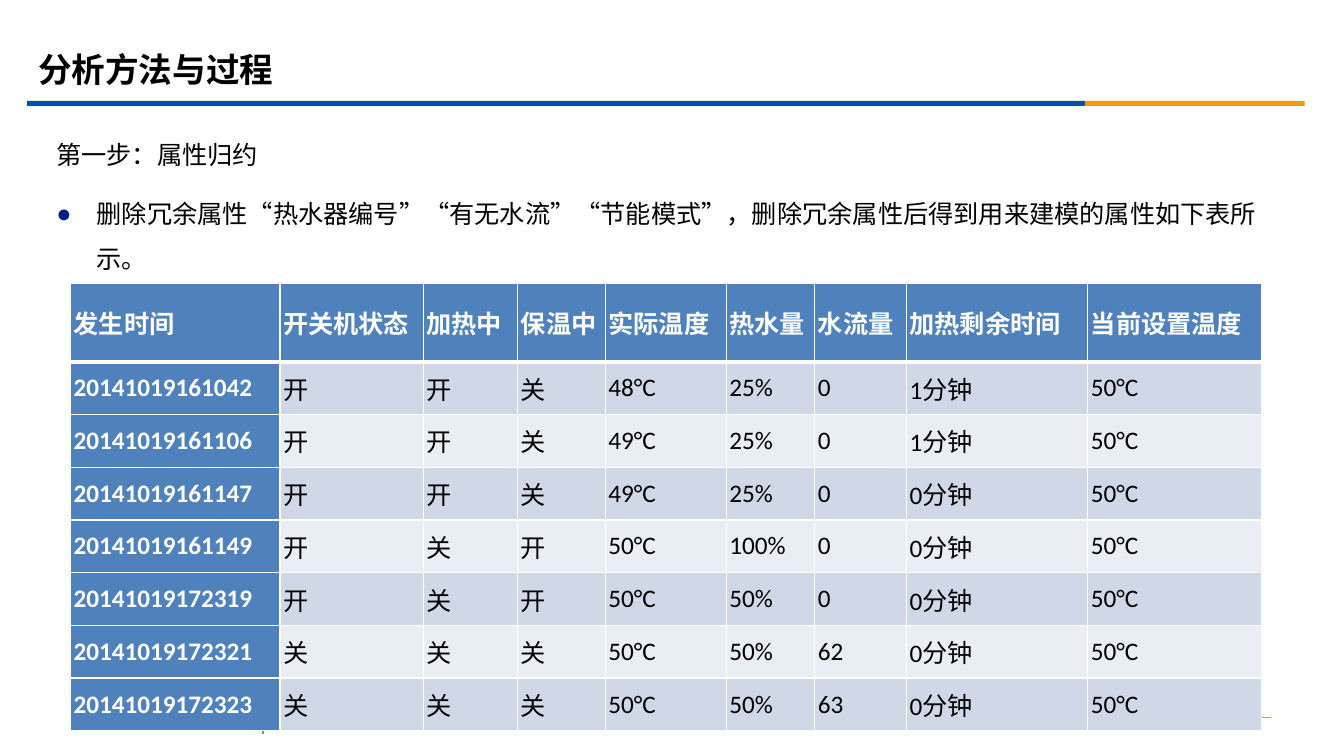
"""Build the attribute reduction slide of the water heater analysis."""
import pptx
import pptx.dml.color
import pptx.enum.shapes
import pptx.enum.text
import pptx.oxml
import pptx.oxml.ns
import pptx.util

Inches = pptx.util.Inches
RGBColor = pptx.dml.color.RGBColor

BLUE = RGBColor(0x06, 0x4B, 0xB2)
ORANGE = RGBColor(0xFB, 0x97, 0x08)
FOOTER_ORANGE = RGBColor(0xF1, 0x95, 0x00)
GREY = RGBColor(0x80, 0x80, 0x80)
BULLET_BLUE = RGBColor(0x03, 0x20, 0x89)
HEADER_BLUE = RGBColor(0x4F, 0x81, 0xBD)
BANDS = (RGBColor(0xD0, 0xD8, 0xE8), RGBColor(0xE9, 0xED, 0xF4))
BLACK = RGBColor(0, 0, 0)
WHITE = RGBColor(0xFF, 0xFF, 0xFF)
CJK_FONT = "Noto Sans CJK SC"

TITLE = "分析方法与过程"
STEP = "第一步：属性归约"
EXPLANATION = ("删除冗余属性“热水器编号”“有无水流”“节能模式”，"
               "删除冗余属性后得到用来建模的属性如下表所示。")
COLUMN_WIDTHS = (2.08, 1.42, 0.94, 0.87, 1.2, 0.88, 0.91, 1.8, 1.72)
HEADER_HEIGHT = 0.78
RECORDS = (
    ("发生时间", "开关机状态", "加热中", "保温中", "实际温度",
     "热水量", "水流量", "加热剩余时间", "当前设置温度"),
    ("20141019161042", "开", "开", "关", "48°C", "25%", "0", "1分钟", "50°C"),
    ("20141019161106", "开", "开", "关", "49°C", "25%", "0", "1分钟", "50°C"),
    ("20141019161147", "开", "开", "关", "49°C", "25%", "0", "0分钟", "50°C"),
    ("20141019161149", "开", "关", "开", "50°C", "100%", "0", "0分钟", "50°C"),
    ("20141019172319", "开", "关", "开", "50°C", "50%", "0", "0分钟", "50°C"),
    ("20141019172321", "关", "关", "关", "50°C", "50%", "62", "0分钟", "50°C"),
    ("20141019172323", "关", "关", "关", "50°C", "50%", "63", "0分钟", "50°C"),
)


def add_xml(parent, markup):
    """Append a DrawingML element, given without its namespace, to parent."""
    tag, rest = markup.split(" ", 1)
    namespace = pptx.oxml.ns.nsdecls("a")
    parent.append(pptx.oxml.parse_xml(f"<a:{tag} {namespace} {rest}"))


def style_paragraph(paragraph, size, color, bold=False, font=CJK_FONT):
    """Set the font of a whole paragraph."""
    paragraph.font.size = pptx.util.Pt(size)
    paragraph.font.bold = bold
    paragraph.font.color.rgb = color
    paragraph.font.name = font
    defaults = paragraph._p.pPr.find(pptx.oxml.ns.qn("a:defRPr"))
    add_xml(defaults, f'ea typeface="{CJK_FONT}"/>')


def add_text_frame(slide, left, top, width, height):
    """Add a wrapping text box and return its text frame."""
    box = slide.shapes.add_textbox(
        Inches(left), Inches(top), Inches(width), Inches(height))
    box.text_frame.word_wrap = True
    return box.text_frame


def add_title(slide, left, top, width, height):
    """Add the slide title."""
    frame = add_text_frame(slide, left, top, width, height)
    frame.vertical_anchor = pptx.enum.text.MSO_ANCHOR.MIDDLE
    frame.text = TITLE
    style_paragraph(frame.paragraphs[0], 24, BLACK, bold=True)


def add_title_rule(slide, left, top, width, height):
    """Add the two-coloured bar below the title."""
    blue_width = width - 2.18
    for color, start, length in ((BLUE, left, blue_width),
                                 (ORANGE, left + blue_width, 2.18)):
        bar = slide.shapes.add_shape(
            pptx.enum.shapes.MSO_SHAPE.RECTANGLE,
            Inches(start), Inches(top), Inches(length), Inches(height))
        bar.shadow.inherit = False
        bar.fill.solid()
        bar.fill.fore_color.rgb = color
        bar.line.fill.background()


def add_footer(slide, left, top, width, height):
    """Add the footer's upright divider and its right-hand line."""
    right, middle = left + width, top + height / 2 - 0.01
    for start, end, color, weight in (
            ((left, top), (left, top + height), GREY, 1.25),
            ((right - 1.12, middle), (right, middle), FOOTER_ORANGE, 0.75)):
        line = slide.shapes.add_connector(
            pptx.enum.shapes.MSO_CONNECTOR.STRAIGHT,
            *map(Inches, start + end))
        line.line.color.rgb = color
        line.line.width = pptx.util.Pt(weight)
        add_xml(line._element.spPr, "effectLst />")


def add_step_text(slide, left, top, width, height):
    """Add the step heading and its bulleted explanation."""
    frame = add_text_frame(slide, left, top, width, height)
    frame.text = f"{STEP}\n{EXPLANATION}"
    explanation = frame.paragraphs[1]
    for paragraph in frame.paragraphs:
        paragraph.line_spacing = 1.5
        paragraph.space_before = pptx.util.Pt(10)
    properties = explanation._p.get_or_add_pPr()
    properties.set("marL", str(Inches(0.4)))
    properties.set("indent", str(Inches(-0.4)))
    add_xml(properties, f'buClr ><a:srgbClr val="{BULLET_BLUE}"/></a:buClr>')
    add_xml(properties, 'buFont typeface="Arial"/>')
    add_xml(properties, 'buChar char="●"/>')
    for paragraph in frame.paragraphs:
        style_paragraph(paragraph, 18, BLACK)


def style_cell(cell, row, column):
    """Give a table cell its borders, fill and text style."""
    weights = {"L": 1, "R": 1,
               "T": 3 if row == 1 else 1, "B": 3 if row == 0 else 1}
    for side, weight in weights.items():
        add_xml(cell._tc.get_or_add_tcPr(),
                f'ln{side} w="{pptx.util.Pt(weight)}"><a:solidFill>'
                f'<a:srgbClr val="{WHITE}"/></a:solidFill></a:ln{side}>')
    is_heading = row == 0 or column == 0
    cell.fill.solid()
    cell.fill.fore_color.rgb = HEADER_BLUE if is_heading else BANDS[(row - 1) % 2]
    cell.vertical_anchor = pptx.enum.text.MSO_ANCHOR.MIDDLE
    cell.margin_left = cell.margin_right = Inches(0.03)
    cell.margin_top = cell.margin_bottom = 0
    paragraph = cell.text_frame.paragraphs[0]
    paragraph.alignment = pptx.enum.text.PP_ALIGN.JUSTIFY
    style_paragraph(paragraph, 18, WHITE if is_heading else BLACK,
                    bold=is_heading, font="Calibri")


def add_records_table(slide, left, top, width, height):
    """Add the table of remaining attributes."""
    table = slide.shapes.add_table(
        len(RECORDS), len(COLUMN_WIDTHS),
        Inches(left), Inches(top), Inches(width), Inches(height)).table
    table.first_col = True
    for column, share in zip(table.columns, COLUMN_WIDTHS):
        column.width = Inches(width * share / sum(COLUMN_WIDTHS))
    record_height = (height - HEADER_HEIGHT) / (len(RECORDS) - 1)
    for row, record in enumerate(RECORDS):
        table.rows[row].height = Inches(record_height if row else HEADER_HEIGHT)
        for column, value in enumerate(record):
            cell = table.cell(row, column)
            cell.text = value
            style_cell(cell, row, column)


def main():
    """Build and save the slide."""
    deck = pptx.Presentation()
    deck.slide_width, deck.slide_height = Inches(13.33), Inches(7.5)
    slide = deck.slides.add_slide(deck.slide_layouts[6])
    add_title_rule(slide, 0.27, 1, 12.67, 0.05)
    add_footer(slide, 2.61, 6.98, 10, 0.3)
    add_step_text(slide, 0.46, 1.18, 12.15, 5.52)
    add_title(slide, 0.28, 0.39, 12, 0.58)
    add_records_table(slide, 0.7, 2.81, 11.81, 4.44)
    deck.save("out.pptx")


if __name__ == "__main__":
    main()
